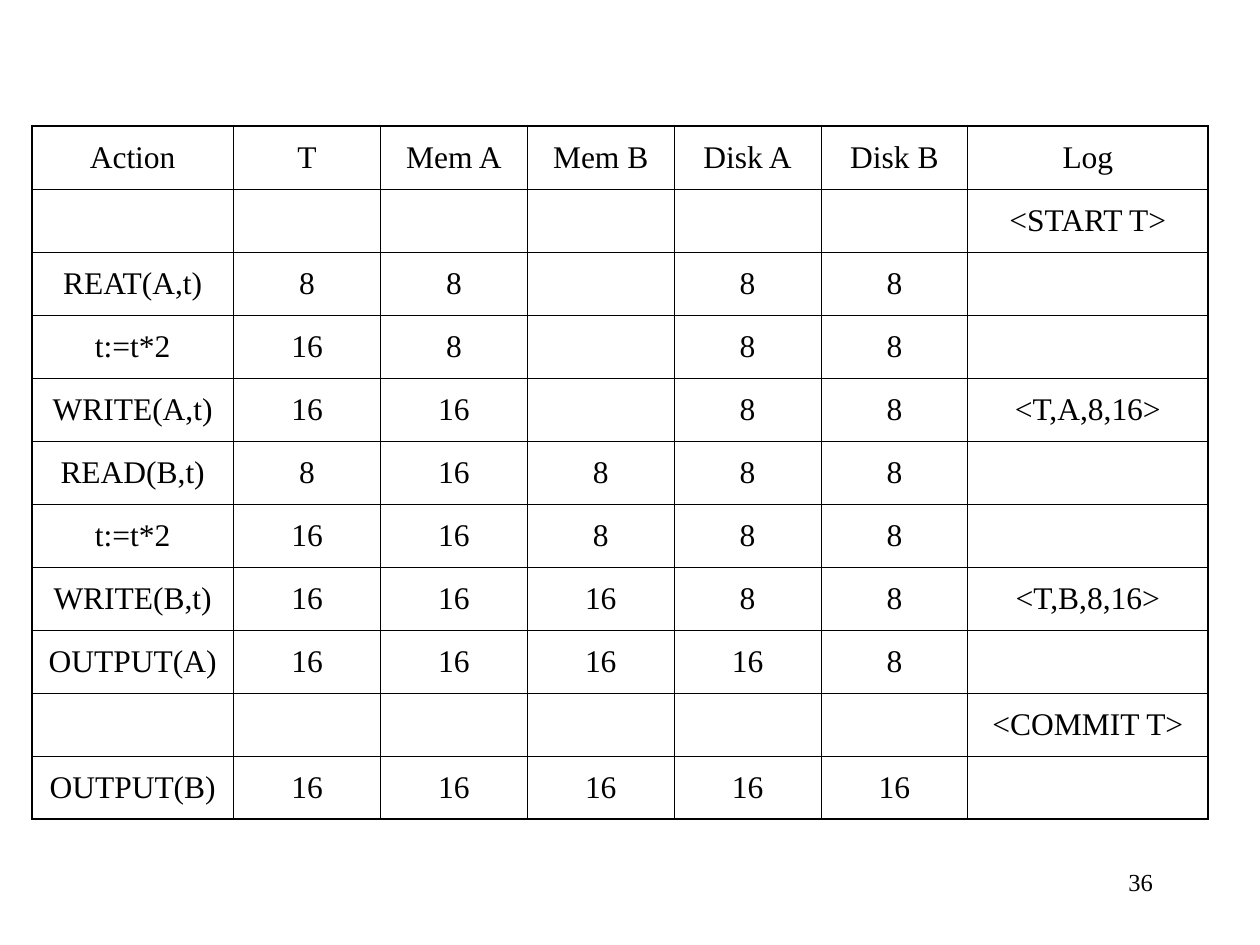
from dataclasses import dataclass

from lxml.etree import SubElement as Sub
from pptx import Presentation as Deck
from pptx.dml.color import RGBColor as Color
from pptx.enum.text import MSO_ANCHOR as Anchor, PP_ALIGN as Align
from pptx.oxml.ns import qn
from pptx.util import Cm, Pt

FONT = "Times New Roman"
BLACK = "000000"
THIN, THICK = 0.45, 1.08
HIGH = 1.27


@dataclass
class Step:
    action: str = ""
    marks: tuple[str, ...] = ("",) * 5
    log: str = ""

    def cells(self) -> tuple[str, ...]:
        return (self.action, *self.marks, self.log)


STEPS = [
    Step("Action", ("T", "Mem A", "Mem B", "Disk A", "Disk B"), "Log"),
    Step(log="<START T>"),
    Step("REAT(A,t)", ("8", "8", "", "8", "8")),
    Step("t:=t*2", ("16", "8", "", "8", "8")),
    Step("WRITE(A,t)", ("16", "16", "", "8", "8"), "<T,A,8,16>"),
    Step("READ(B,t)", ("8", "16", "8", "8", "8")),
    Step("t:=t*2", ("16", "16", "8", "8", "8")),
    Step("WRITE(B,t)", ("16", "16", "16", "8", "8"), "<T,B,8,16>"),
    Step("OUTPUT(A)", ("16", "16", "16", "16", "8")),
    Step(log="<COMMIT T>"),
    Step("OUTPUT(B)", ("16",) * 5),
]
WIDTHS = [4.07] + [2.96] * 5 + [4.84]


def paint(target, tone: str) -> None:
    target.rgb = Color.from_string(tone)


def write(frame, text: str, size: float, align: Align) -> None:
    para = frame.paragraphs[0]
    para.alignment = align
    run = para.add_run()
    run.text = text
    run.font.name = FONT
    run.font.size = Pt(size)
    paint(run.font.color, BLACK)


def edge(cell, side: str, width: float) -> None:
    line = Sub(cell._tc.get_or_add_tcPr(), qn(f"a:ln{side}"), w=str(Pt(width)))
    fill = Sub(line, qn("a:solidFill"))
    Sub(fill, qn("a:srgbClr"), val=BLACK)


def grid(slide, steps: list[Step]) -> None:
    rows, cols = len(steps), len(WIDTHS)
    frame = slide.shapes.add_table(
        rows, cols, Cm(0.64), Cm(2.54), Cm(sum(WIDTHS)), Cm(HIGH * rows)
    )
    table = frame.table
    table.first_row = table.horz_banding = False
    for col, width in zip(table.columns, WIDTHS):
        col.width = Cm(width)
    for r, step in enumerate(steps):
        table.rows[r].height = Cm(HIGH)
        for c, text in enumerate(step.cells()):
            cell = table.cell(r, c)
            cell.vertical_anchor = Anchor.MIDDLE
            outer = {"L": c == 0, "R": c == cols - 1, "T": r == 0, "B": r == rows - 1}
            for side, thick in outer.items():
                edge(cell, side, THICK if thick else THIN)
            cell.fill.background()
            if text:
                write(cell.text_frame, text, 18, Align.CENTER)


def number(slide, text: str) -> None:
    box = slide.shapes.add_textbox(Cm(18.21), Cm(17.35), Cm(5.28), Cm(1.27))
    box.text_frame.word_wrap = True
    write(box.text_frame, text, 14, Align.RIGHT)


def main() -> None:
    deck = Deck()
    deck.slide_width, deck.slide_height = Cm(25.4), Cm(19.05)
    slide = deck.slides.add_slide(deck.slide_layouts[6])
    number(slide, "36")
    grid(slide, STEPS)
    deck.save("out.pptx")


if __name__ == "__main__":
    main()
